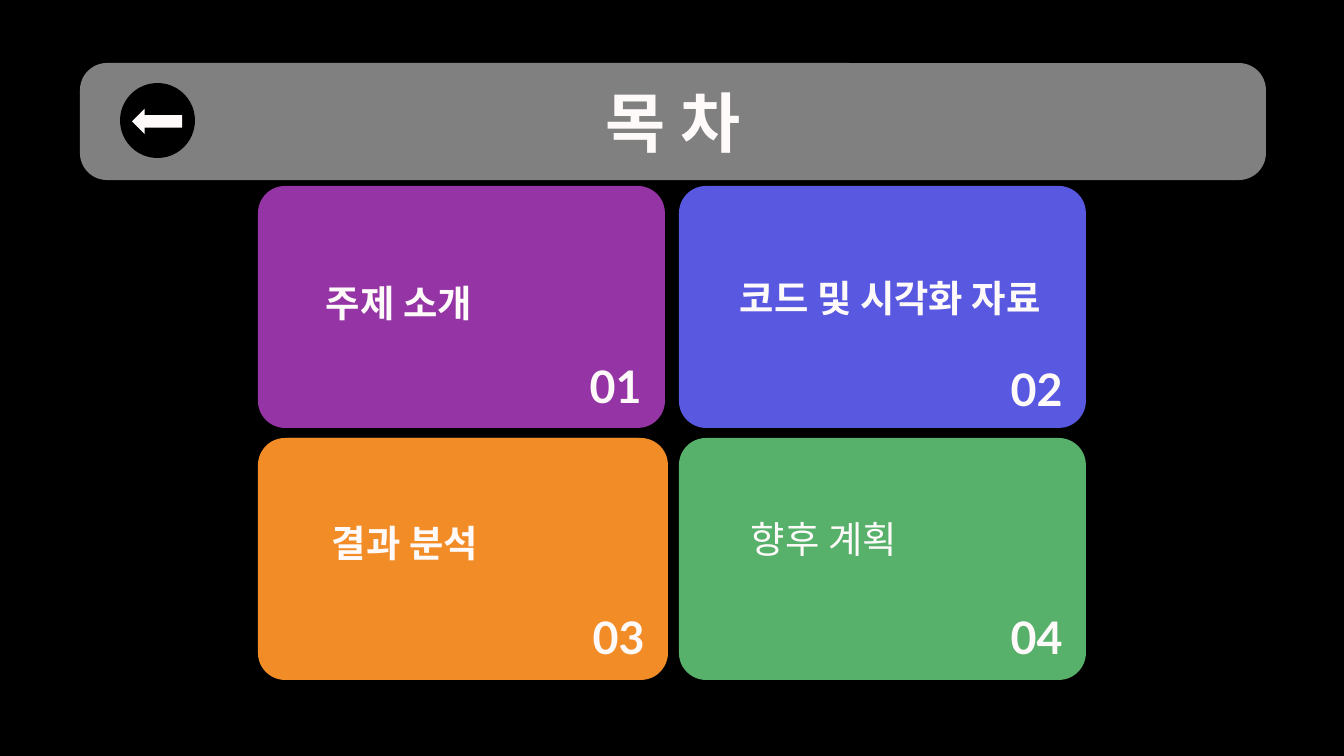
from pptx import Presentation
from pptx.dml.color import RGBColor
from pptx.enum.shapes import MSO_SHAPE
from pptx.enum.text import MSO_ANCHOR, PP_ALIGN
from pptx.util import Emu, Pt

ROUNDED = MSO_SHAPE.ROUNDED_RECTANGLE
ELLIPSE = MSO_SHAPE.OVAL
LEFT_ARROW = MSO_SHAPE.LEFT_ARROW
TOP, MIDDLE = MSO_ANCHOR.TOP, MSO_ANCHOR.MIDDLE
LEFT, CENTER = PP_ALIGN.LEFT, PP_ALIGN.CENTER

BLACK = RGBColor(0x00, 0x00, 0x00)
SNOW = RGBColor(0xFF, 0xFA, 0xFA)
GRAY = RGBColor(0x80, 0x80, 0x80)
PURPLE = RGBColor(0x94, 0x34, 0xA5)
BLUE = RGBColor(0x58, 0x58, 0xE0)
ORANGE = RGBColor(0xF2, 0x8C, 0x27)
GREEN = RGBColor(0x57, 0xB1, 0x6B)

FONT = "Lato"
EMU_PER_PX = 914400 / 134.4
CORNER = 27
INSET = 13
CARD_SIZE = (407, 242)
NUMBER_SIZE = (95, 51)
LABEL_HEIGHT = 108
COLUMNS = (258, 679)
ROWS = (186, 438)
BACK_EDGE = 3  # the orange card has a second layer, shifted right

# number, color, card position, number position, label, label box, bold label
TOPICS = [
    ("01", PURPLE, (COLUMNS[0], ROWS[0]), (568, 360), "주제 소개", (313, 267, 298), True),
    ("02", BLUE, (COLUMNS[1], ROWS[0]), (989, 363), "코드 및 시각화 자료", (727, 262, 339), True),
    ("03", ORANGE, (COLUMNS[0], ROWS[1]), (571, 611), "결과 분석", (319, 507, 298), True),
    ("04", GREEN, (COLUMNS[1], ROWS[1]), (989, 611), "향후 계획", (738, 503, 270), False),
]


def px(length):
    return Emu(round(length * EMU_PER_PX))


def add_shape(slide, kind, left, top, width, height, color):
    shape = slide.shapes.add_shape(kind, px(left), px(top), px(width), px(height))
    shape.shadow.inherit = False
    shape.fill.solid()
    shape.fill.fore_color.rgb = color
    shape.line.fill.background()
    if kind == ROUNDED:
        shape.adjustments[0] = round(CORNER / min(width, height), 3)
    return shape


def add_text(slide, text, left, top, width, height, *, size,
             bold=True, align=LEFT, anchor=TOP):
    box = slide.shapes.add_textbox(px(left), px(top), px(width), px(height))
    frame = box.text_frame
    frame.word_wrap = True
    frame.vertical_anchor = anchor
    frame.margin_left = frame.margin_right = px(INSET)
    frame.margin_top = frame.margin_bottom = px(INSET)
    para = frame.paragraphs[0]
    para.alignment = align
    span = para.add_run()
    span.text = text
    span.font.name = FONT
    span.font.size = Pt(size)
    span.font.bold = bold
    span.font.color.rgb = SNOW


def add_header(slide):
    add_shape(slide, ROUNDED, 80, 63, 1186, 117, GRAY)
    add_text(slide, "목 차", 199, 69, 948, 85, size=35, align=CENTER)
    add_shape(slide, ELLIPSE, 120, 83, 75, 75, BLACK)
    add_shape(slide, LEFT_ARROW, 132, 109, 50, 25, SNOW)


def add_topic(slide, number, color, card, number_at, label, label_box, bold):
    add_shape(slide, ROUNDED, *card, *CARD_SIZE, color)
    if color == ORANGE:
        add_shape(slide, ROUNDED, card[0] + BACK_EDGE, card[1], *CARD_SIZE, color)
    add_text(slide, number, *number_at, *NUMBER_SIZE, size=24,
             align=CENTER, anchor=MIDDLE)
    add_text(slide, label, *label_box, LABEL_HEIGHT, size=20, bold=bold)


def main():
    deck = Presentation()
    deck.slide_width, deck.slide_height = px(1344), px(756)
    page = deck.slides.add_slide(deck.slide_layouts[6])
    page.background.fill.solid()
    page.background.fill.fore_color.rgb = BLACK
    add_header(page)
    for topic in TOPICS:
        add_topic(page, *topic)
    deck.save("out.pptx")


if __name__ == "__main__":
    main()
